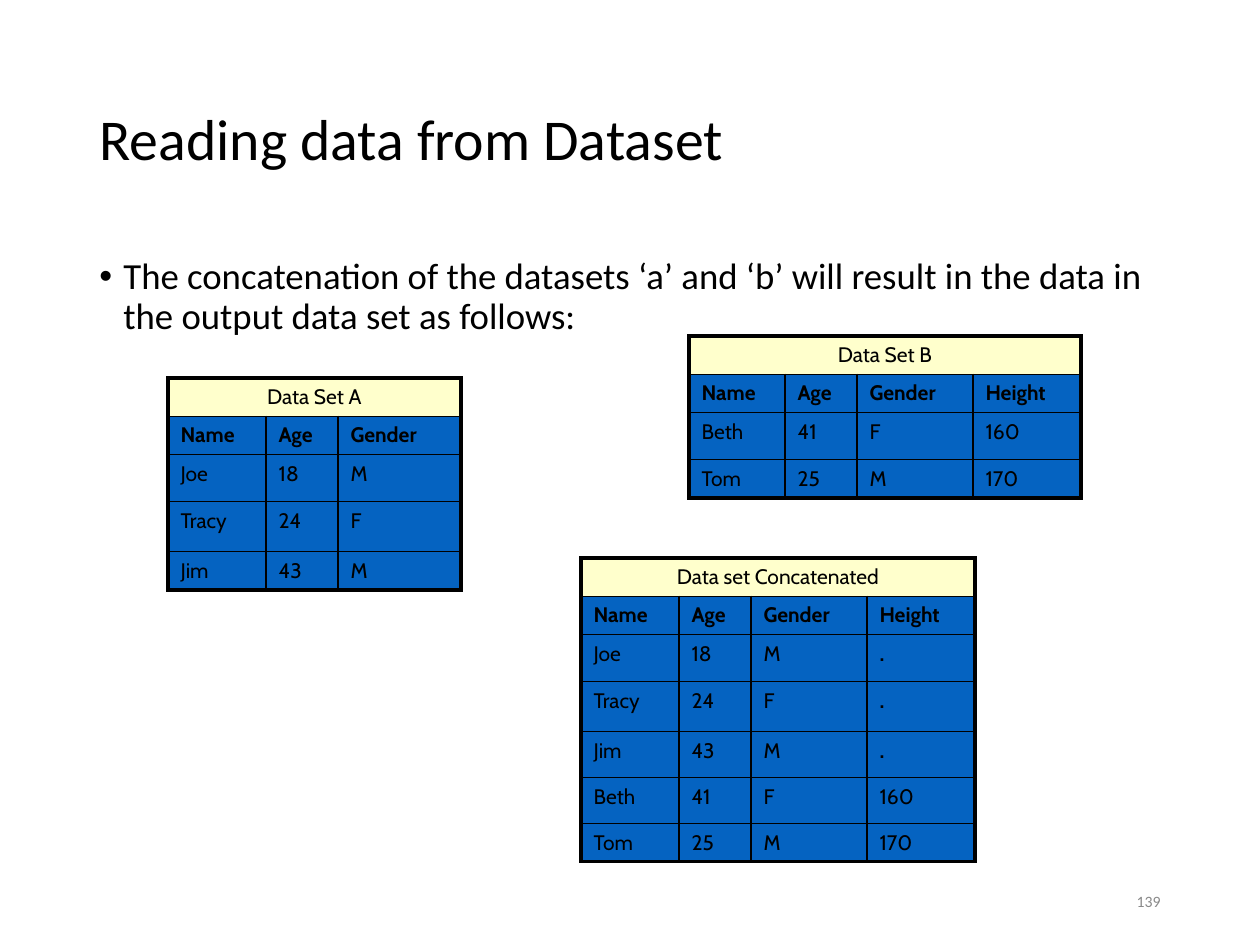
import pptx
import pptx.util
import pptx.dml.color
import pptx.enum.text
import pptx.oxml
import pptx.oxml.ns

PX = 914400 // 126
BLACK, GREY, CREAM, BLUE = "000000", "898989", "FFFFCC", "0563C1"
LEFT = pptx.enum.text.PP_ALIGN.LEFT
MID = pptx.enum.text.PP_ALIGN.CENTER
RIGHT = pptx.enum.text.PP_ALIGN.RIGHT
TOP = pptx.enum.text.MSO_ANCHOR.TOP
CENTRE = pptx.enum.text.MSO_ANCHOR.MIDDLE

HEAD = "Reading data from Dataset"
POINT = ("The concatenation of the datasets ‘a’ and ‘b’ will result in "
         "the data in the output data set as follows:")
PAGE = "139"

KEYS = ["Name", "Age", "Gender", "Height"]
FIRST = [["Joe", "18", "M"], ["Tracy", "24", "F"], ["Jim", "43", "M"]]
NEXT = [["Beth", "41", "F", "160"], ["Tom", "25", "M", "170"]]
TABLES = [
    {"name": "Data Set A", "at": (168, 378), "wide": [98, 72, 123],
     "high": [38, 38, 47, 50, 38], "data": [KEYS[:3]] + FIRST},
    {"name": "Data Set B", "at": (689, 336), "wide": [96, 72, 116, 108],
     "high": [38, 38, 47, 38], "data": [KEYS] + NEXT},
    {"name": "Data set Concatenated", "at": (581, 558),
     "wide": [98, 72, 116, 108], "high": [38, 38, 47, 50, 46, 46, 38],
     "data": [KEYS] + [row + ["."] for row in FIRST] + NEXT},
]


def px(num):
    return pptx.util.Emu(num * PX)


def tint(code):
    return pptx.dml.color.RGBColor.from_string(code)


def put(item, vals):
    for key, val in vals.items():
        setattr(item, key, val)


def write(frame, text, size, font="Calibri", code=BLACK, bold=False, **form):
    para = frame.paragraphs[0]
    put(para, form)
    run = para.add_run()
    run.text = text
    put(run.font, {"size": pptx.util.Pt(size), "name": font, "bold": bold})
    run.font.color.rgb = tint(code)
    return para


def place(shape, left, top, width, height, anchor):
    put(shape, {"left": px(left), "top": px(top),
                "width": px(width), "height": px(height)})
    put(shape.text_frame, {"word_wrap": True, "vertical_anchor": anchor,
                           "auto_size": pptx.enum.text.MSO_AUTO_SIZE.NONE})
    return shape.text_frame


def edge(cell, thick):
    props = cell._tc.get_or_add_tcPr()
    for side, bold in thick.items():
        width = pptx.util.Pt(2.25 if bold else 1)
        props.append(pptx.oxml.parse_xml(
            f'<a:ln{side} {pptx.oxml.ns.nsdecls("a")} w="{width}">'
            f'<a:solidFill><a:srgbClr val="{BLACK}"/></a:solidFill>'
            f'</a:ln{side}>'))


def grid(slide, name, at, wide, high, data):
    rows, cols = len(high), len(wide)
    table = slide.shapes.add_table(
        rows, cols, *map(px, at), px(sum(wide)), px(sum(high))).table
    for col, width in zip(table.columns, wide):
        col.width = px(width)
    for row, height in zip(table.rows, high):
        row.height = px(height)
    table.cell(0, 0).merge(table.cell(0, cols - 1))
    full = [[name] + [""] * (cols - 1)] + data
    for r, line in enumerate(full):
        for c, text in enumerate(line):
            cell = table.cell(r, c)
            edge(cell, {"L": r == 0 or c == 0, "R": r == 0 or c == cols - 1,
                        "T": r == 0, "B": r == rows - 1})
            cell.fill.solid()
            cell.fill.fore_color.rgb = tint(BLUE if r else CREAM)
            if text:
                write(cell.text_frame, text, 12, "Cabin",
                      bold=r == 1 or text == ".",
                      alignment=LEFT if r else MID)


def main():
    deck = pptx.Presentation()
    put(deck, {"slide_width": px(1260), "slide_height": px(945)})
    slide = deck.slides.add_slide(deck.slide_layouts[5])

    frame = place(slide.shapes.title, 87, 50, 1086, 183, CENTRE)
    write(frame, HEAD, 33, alignment=LEFT, line_spacing=0.9)

    box = slide.shapes.add_textbox(0, 0, 0, 0)
    para = write(place(box, 87, 252, 1086, 600, TOP), POINT, 21,
                 line_spacing=0.9)
    props = para._p.get_or_add_pPr()
    put(props, {})
    props.set("marL", str(px(24)))
    props.set("indent", str(px(-24)))
    for mark in ('buFont {} typeface="Arial"', 'buChar {} char="•"'):
        props.append(pptx.oxml.parse_xml(
            "<a:" + mark.format(pptx.oxml.ns.nsdecls("a")) + "/>"))

    box = slide.shapes.add_textbox(0, 0, 0, 0)
    write(place(box, 890, 876, 283, 50, CENTRE), PAGE, 9, code=GREY,
          alignment=RIGHT)

    for table in TABLES:
        grid(slide, **table)
    deck.save("out.pptx")


if __name__ == "__main__":
    main()
